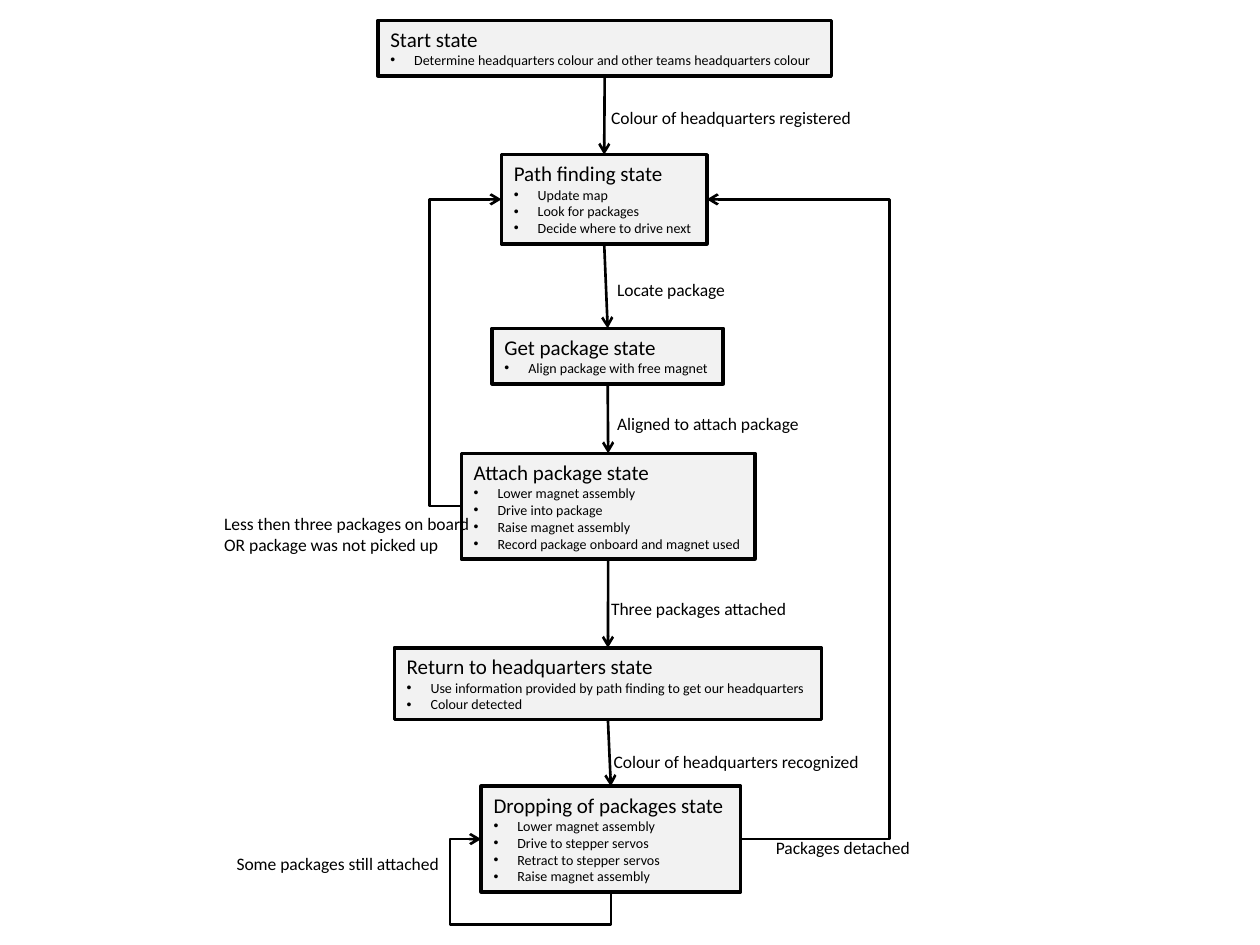
from lxml.etree import SubElement
from pptx import Presentation
from pptx.dml.color import RGBColor
from pptx.enum.shapes import MSO_CONNECTOR, MSO_SHAPE
from pptx.enum.text import MSO_ANCHOR, MSO_AUTO_SIZE, PP_ALIGN
from pptx.oxml.ns import qn
from pptx.util import Cm, Pt

COLOURS = {"ink": "000000", "box": "F2F2F2"}
FONT = "Calibri"
TOP, LEFT, BOTTOM, RIGHT = range(4)

STATES = {
    "start": ((7.62, 0.41, 9.14, 1.12), "Start state",
              ["Determine headquarters colour and other teams headquarters colour"]),
    "path finding": ((10.11, 3.12, 4.14, 1.8), "Path finding state",
                     ["Update map", "Look for packages", "Decide where to drive next"]),
    "get": ((9.92, 6.62, 4.66, 1.12), "Get package state",
            ["Align package with free magnet"]),
    "attach": ((9.3, 9.14, 5.92, 2.13), "Attach package state",
               ["Lower magnet assembly", "Drive into package", "Raise magnet assembly",
                "Record package onboard and magnet used"]),
    "return": ((7.95, 13.06, 8.61, 1.45), "Return to headquarters state",
               ["Use information provided by path finding to get our headquarters",
                "Colour detected"]),
    "drop": ((9.7, 15.85, 5.23, 2.13), "Dropping of packages state",
             ["Lower magnet assembly", "Drive to stepper servos",
              "Retract to stepper servos", "Raise magnet assembly"]),
}

LABELS = [
    ((12.07, 2.03, 5.44, 0.69), ["Colour of headquarters registered"]),
    ((12.19, 5.51, 2.74, 0.69), ["Locate package"]),
    ((12.19, 8.2, 4.24, 0.69), ["Aligned to attach package"]),
    ((12.07, 11.94, 4.11, 0.69), ["Three packages attached"]),
    ((12.12, 15.01, 5.61, 0.69), ["Colour of headquarters recognized"]),
    ((4.27, 10.21, 5.54, 1.12),
     ["Less then three packages on board", "OR package was not picked up"]),
    ((15.39, 16.74, 3.28, 0.69), ["Packages detached"]),
    ((4.52, 17.07, 4.67, 0.69), ["Some packages still attached"]),
]


def colour(name):
    return RGBColor.from_string(COLOURS[name])


def write(para, text, size=10, bullet=False):
    para.alignment = PP_ALIGN.LEFT
    span = para.add_run()
    span.text = text
    span.font.name = FONT
    span.font.size = Pt(size)
    span.font.color.rgb = colour("ink")
    if bullet:
        properties = para._p.get_or_add_pPr()
        properties.set("marL", str(Cm(0.48)))
        properties.set("indent", str(-Cm(0.48)))
        SubElement(properties, qn("a:buFont")).set("typeface", "Arial")
        SubElement(properties, qn("a:buChar")).set("char", "•")


def prepare_frame(frame):
    frame.word_wrap = False
    frame.auto_size = MSO_AUTO_SIZE.SHAPE_TO_FIT_TEXT
    frame.vertical_anchor = MSO_ANCHOR.TOP


def add_state(page, bounds, title, actions):
    box = page.shapes.add_shape(MSO_SHAPE.RECTANGLE, *map(Cm, bounds))
    box.shadow.inherit = False
    box.fill.solid()
    box.fill.fore_color.rgb = colour("box")
    box.line.color.rgb = colour("ink")
    box.line.width = Pt(2)
    prepare_frame(box.text_frame)
    write(box.text_frame.paragraphs[0], title, size=12)
    for action in actions:
        write(box.text_frame.add_paragraph(), action, size=8, bullet=True)
    return box


def add_label(page, bounds, lines):
    frame = page.shapes.add_textbox(*map(Cm, bounds)).text_frame
    prepare_frame(frame)
    for index, line in enumerate(lines):
        write(frame.add_paragraph() if index else frame.paragraphs[0], line)


def add_arrow(page, kind, begin, end):
    arrow = page.shapes.add_connector(kind, *begin, *end)
    arrow.line.color.rgb = colour("ink")
    arrow.line.width = Pt(1.5)
    SubElement(arrow.line._get_or_add_ln(), qn("a:tailEnd")).set("type", "arrow")
    SubElement(arrow._element.spPr, qn("a:effectLst"))
    return arrow


def side_point(box, side):
    middle_x, middle_y = box.left + box.width // 2, box.top + box.height // 2
    return {
        TOP: (middle_x, box.top),
        LEFT: (box.left, middle_y),
        BOTTOM: (middle_x, box.top + box.height),
        RIGHT: (box.left + box.width, middle_y),
    }[side]


def add_step(page, source, target):
    arrow = add_arrow(page, MSO_CONNECTOR.STRAIGHT,
                      side_point(source, BOTTOM), side_point(target, TOP))
    arrow.begin_connect(source, BOTTOM)
    arrow.end_connect(target, TOP)


def set_bends(arrow, *ratios):
    geometry = arrow._element.spPr.find(qn("a:prstGeom"))
    geometry.set("prst", f"bentConnector{len(ratios) + 2}")
    guides = geometry.find(qn("a:avLst"))
    if guides is None:
        guides = SubElement(geometry, qn("a:avLst"))
    for number, ratio in enumerate(ratios, 1):
        guide = SubElement(guides, qn("a:gd"))
        guide.set("name", f"adj{number}")
        guide.set("fmla", f"val {round(ratio * 100000)}")


def add_return(page, source, target, side, lane):
    begin, end = side_point(source, side), side_point(target, side)
    arrow = add_arrow(page, MSO_CONNECTOR.ELBOW, begin, end)
    set_bends(arrow, (lane - begin[0]) / (end[0] - begin[0]))


def add_self_loop(page, box, lane_x, lane_y):
    begin, end = side_point(box, BOTTOM), side_point(box, LEFT)
    across, rise = begin[0] - end[0], begin[1] - end[1]
    middle_x, middle_y = (begin[0] + end[0]) // 2, (begin[1] + end[1]) // 2
    arrow = add_arrow(page, MSO_CONNECTOR.ELBOW,
                      (middle_x + rise // 2, middle_y - across // 2),
                      (middle_x - rise // 2, middle_y + across // 2))
    arrow._element.spPr.find(qn("a:xfrm")).set("rot", str(90 * 60000))
    set_bends(arrow, (begin[1] - lane_y) / rise, (begin[0] - lane_x) / across)


def main():
    deck = Presentation()
    deck.slide_width, deck.slide_height = Cm(25.4), Cm(19.05)
    page = deck.slides.add_slide(deck.slide_layouts[6])
    boxes = {name: add_state(page, *state) for name, state in STATES.items()}
    chain = list(boxes.values())
    for source, target in zip(chain, chain[1:]):
        add_step(page, source, target)
    add_return(page, boxes["attach"], boxes["path finding"], LEFT, Cm(8.66))
    add_return(page, boxes["drop"], boxes["path finding"], RIGHT, Cm(17.93))
    add_self_loop(page, boxes["drop"], Cm(9.07), Cm(18.64))
    for bounds, lines in LABELS:
        add_label(page, bounds, lines)
    deck.save("out.pptx")


if __name__ == "__main__":
    main()
